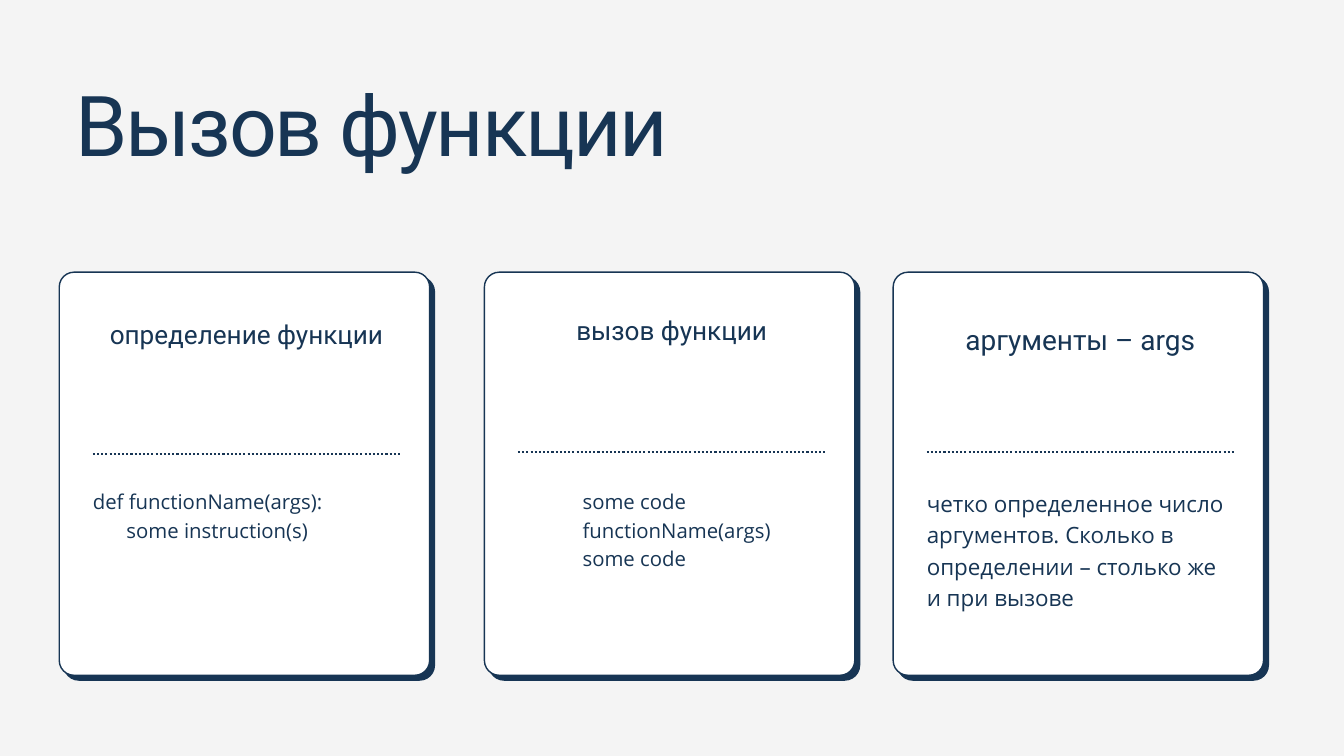
from dataclasses import dataclass

from pptx import Presentation
from pptx.dml.color import RGBColor
from pptx.enum import dml, shapes, text
from pptx.oxml.ns import qn
from pptx.util import Cm, Pt


@dataclass(frozen=True)
class Theme:
    navy: RGBColor = RGBColor(0x17, 0x35, 0x54)
    white: RGBColor = RGBColor(0xFF, 0xFF, 0xFF)
    back: RGBColor = RGBColor(0xF4, 0xF4, 0xF4)
    head: str = "Roboto"
    body: str = "Open Sans"
    title: float = 90
    term: float = 28
    large: float = 30
    code: float = 21.8
    note: float = 24


@dataclass(frozen=True)
class Card:
    left: float
    head: str
    top: float
    size: float
    lead: float
    rule: float
    lines: tuple
    type: float
    step: float
    indent: float = 0


THEME = Theme()
LEFT, ALIGN = text.PP_ALIGN.LEFT, text.PP_ALIGN.CENTER

# Card geometry in centimetres
TOP, WIDE, HIGH = 10.29, 14, 15.24
SHIFT, ROUND = 0.18, 0.04
PAD, INNER, BODY = 1.27, 11.61, 18.36

CARDS = (
    Card(2.24, "определение функции", 12.22, THEME.term, 28.9, 17.17,
         ("def functionName(args):", "\tsome instruction(s)"),
         THEME.code, 30.4),
    Card(18.31, "вызов функции", 12.24, THEME.term, 23.2, 17.09,
         ("some code", "functionName(args)", "some code"),
         THEME.code, 30.4, 2.44),
    Card(33.76, "аргументы – args", 12.07, THEME.large, 39, 17.09,
         ("четко определенное число аргументов. Сколько в определении"
          " – столько же и при вызове",),
         THEME.note, 33.6),
)


def fill_text(shape, lines, face, size, lead, align=LEFT):
    """Set the lines of a shape, one run in each paragraph."""
    frame = shape.text_frame
    frame.word_wrap = True
    frame.auto_size = text.MSO_AUTO_SIZE.NONE
    frame.vertical_anchor = text.MSO_ANCHOR.TOP
    frame.margin_left = frame.margin_right = 0
    frame.margin_top = frame.margin_bottom = 0
    for i, line in enumerate(lines):
        para = frame.add_paragraph() if i else frame.paragraphs[0]
        para.alignment = align
        para.line_spacing = Pt(lead)
        para.space_before = Pt(0)
        run = para.add_run()
        run.text = line
        run.font.name = face
        run.font.size = Pt(size)
        run.font.color.rgb = THEME.navy


def add_title(slide, words):
    title = slide.shapes.title
    title.left, title.top = Cm(2.84), Cm(3.07)
    title.width, title.height = Cm(45.62), Cm(3.61)
    fill_text(title, [words], THEME.head, THEME.title, 99)
    run = title.text_frame.paragraphs[0].runs[0]
    run.font._element.set("spc", "-220")  # tighter letters


def add_panel(slide, left, top, color):
    panel = slide.shapes.add_shape(
        shapes.MSO_SHAPE.ROUNDED_RECTANGLE,
        Cm(left), Cm(top), Cm(WIDE), Cm(HIGH))
    panel.adjustments[0] = ROUND
    panel.shadow.inherit = False
    panel.fill.solid()
    panel.fill.fore_color.rgb = color
    panel.line.color.rgb = THEME.navy
    panel.line.width = Pt(1.5)


def add_rule(slide, left, top):
    rule = slide.shapes.add_connector(
        shapes.MSO_CONNECTOR.STRAIGHT,
        Cm(left), Cm(top), Cm(left + INNER), Cm(top))
    rule.line.color.rgb = THEME.navy
    rule.line.width = Pt(2.25)
    rule.line.dash_style = dml.MSO_LINE.ROUND_DOT
    props = rule._element.spPr
    props.append(props.makeelement(qn("a:effectLst"), {}))


def add_box(slide, left, top, wide, high, *style):
    box = slide.shapes.add_textbox(Cm(left), Cm(top), Cm(wide), Cm(high))
    fill_text(box, *style)


def add_card(slide, card):
    # Offset backing, then the face
    add_panel(slide, card.left + SHIFT, TOP + SHIFT, THEME.navy)
    add_panel(slide, card.left, TOP, THEME.white)

    # Heading, dotted rule and explanation
    left = card.left + PAD
    add_box(slide, left, card.top, INNER, 1.1,
            [card.head], THEME.head, card.size, card.lead, ALIGN)
    add_rule(slide, left, card.rule)
    high = 4.78 if len(card.lines) == 1 else 1.05 * len(card.lines)
    add_box(slide, left + card.indent, BODY, INNER - card.indent, high,
            card.lines, THEME.body, card.type, card.step)


def main():
    deck = Presentation()
    deck.slide_width, deck.slide_height = Cm(50.8), Cm(28.58)
    slide = deck.slides.add_slide(deck.slide_layouts.get_by_name("Title Only"))
    slide.background.fill.solid()
    slide.background.fill.fore_color.rgb = THEME.back

    add_title(slide, "Вызов функции")
    for card in CARDS:
        add_card(slide, card)
    deck.save("out.pptx")


if __name__ == "__main__":
    main()
